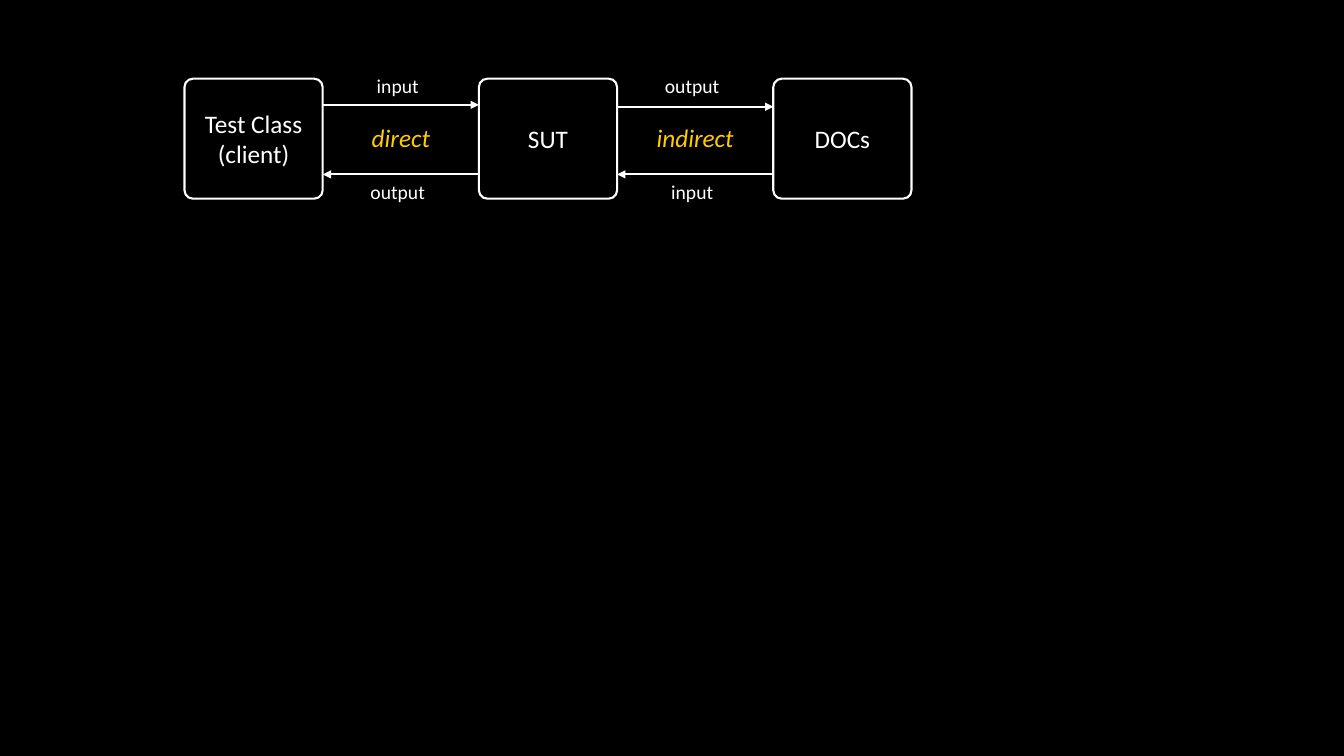
from dataclasses import dataclass

from lxml.etree import SubElement
from pptx import Presentation
from pptx.dml.color import RGBColor
from pptx.enum.shapes import MSO_CONNECTOR, MSO_SHAPE
from pptx.enum.text import MSO_ANCHOR, MSO_AUTO_SIZE, PP_ALIGN
from pptx.oxml.ns import qn
from pptx.util import Pt

# Content: boxes from left to right, and the exchange in each gap between them
BOXES = [["Test Class", "(client)"], ["SUT"], ["DOCs"]]
EXCHANGES = [
    {"forward": "input", "kind": "direct", "back": "output", "forward_y": 74.9},
    {"forward": "output", "kind": "indirect", "back": "input", "forward_y": 76.3},
]


@dataclass(frozen=True)
class Theme:
    """Colours, font and type sizes of the slide."""
    back: RGBColor = RGBColor(0, 0, 0)
    ink: RGBColor = RGBColor(255, 255, 255)
    accent: RGBColor = RGBColor(0xFF, 0xCC, 0x00)
    font: str = "Calibri"
    large: int = 18
    small: int = 14
    line: float = 1.5


T = Theme()
SLIDE_W, SLIDE_H = 960, 540
BOX_X, BOX_Y, BOX_W, BOX_H = 131.8, 56.2, 98.7, 85.7
PITCH = 210.3
GAP = PITCH - BOX_W
BACK_Y = 124.6
TOP_Y, KIND_Y = 49, 84.2
LABEL_SHIFT = -2.2
LABEL_W = {"input": 44.6, "output": 54, "direct": 57, "indirect": 70}


def write(tf, lines, size, color, italic=None):
    """Fill a text frame with centred lines."""
    for i, line in enumerate(lines):
        p = tf.paragraphs[0] if i == 0 else tf.add_paragraph()
        p.alignment = PP_ALIGN.CENTER
        r = p.add_run()
        r.text = line
        r.font.color.rgb = color
        formats = {"name": T.font, "size": Pt(size), "italic": italic}
        for name, value in formats.items():
            setattr(r.font, name, value)


def add_box(s, x, lines):
    """Draw one outlined rounded box with its name."""
    sp = s.shapes.add_shape(MSO_SHAPE.ROUNDED_RECTANGLE,
                            Pt(x), Pt(BOX_Y), Pt(BOX_W), Pt(BOX_H))
    sp.adjustments[0] = 0.07
    sp.shadow.inherit = False
    sp.fill.background()
    sp.line.color.rgb = T.ink
    sp.line.width = Pt(T.line)
    sp.text_frame.vertical_anchor = MSO_ANCHOR.MIDDLE
    write(sp.text_frame, lines, T.large, T.ink)


def add_arrow(s, x1, x2, y):
    """Draw a horizontal arrow from x1 to x2."""
    sp = s.shapes.add_connector(MSO_CONNECTOR.STRAIGHT,
                                Pt(x1), Pt(y), Pt(x2), Pt(y))
    sp.line.color.rgb = T.ink
    sp.line.width = Pt(T.line)
    SubElement(sp.line._get_or_add_ln(), qn("a:tailEnd"), type="triangle")
    SubElement(sp._element.spPr, qn("a:effectLst"))


def add_label(s, center, y, text, size, color, italic=None):
    """Place a one-line label around a centre."""
    w, h = LABEL_W[text], size * 1.2 + 7.2
    sp = s.shapes.add_textbox(Pt(center - w / 2), Pt(y), Pt(w), Pt(h))
    formats = {"word_wrap": False, "auto_size": MSO_AUTO_SIZE.SHAPE_TO_FIT_TEXT}
    for name, value in formats.items():
        setattr(sp.text_frame, name, value)
    write(sp.text_frame, [text], size, color, italic)


def add_exchange(s, x, exchange):
    """Draw the two arrows and three labels of the gap that starts at x."""
    center = x + GAP / 2
    add_arrow(s, x, x + GAP, exchange["forward_y"])
    add_arrow(s, x + GAP, x, BACK_Y)
    for key, y in (("forward", TOP_Y), ("back", BACK_Y)):
        add_label(s, center + LABEL_SHIFT, y, exchange[key], T.small, T.ink)
    add_label(s, center, KIND_Y, exchange["kind"], T.large, T.accent, True)


prs = Presentation()
prs.slide_width, prs.slide_height = Pt(SLIDE_W), Pt(SLIDE_H)
s = prs.slides.add_slide(prs.slide_layouts[6])
s.background.fill.solid()
s.background.fill.fore_color.rgb = T.back

for i, lines in enumerate(BOXES):
    add_box(s, BOX_X + i * PITCH, lines)
for i, exchange in enumerate(EXCHANGES):
    add_exchange(s, BOX_X + BOX_W + i * PITCH, exchange)

prs.save("out.pptx")
